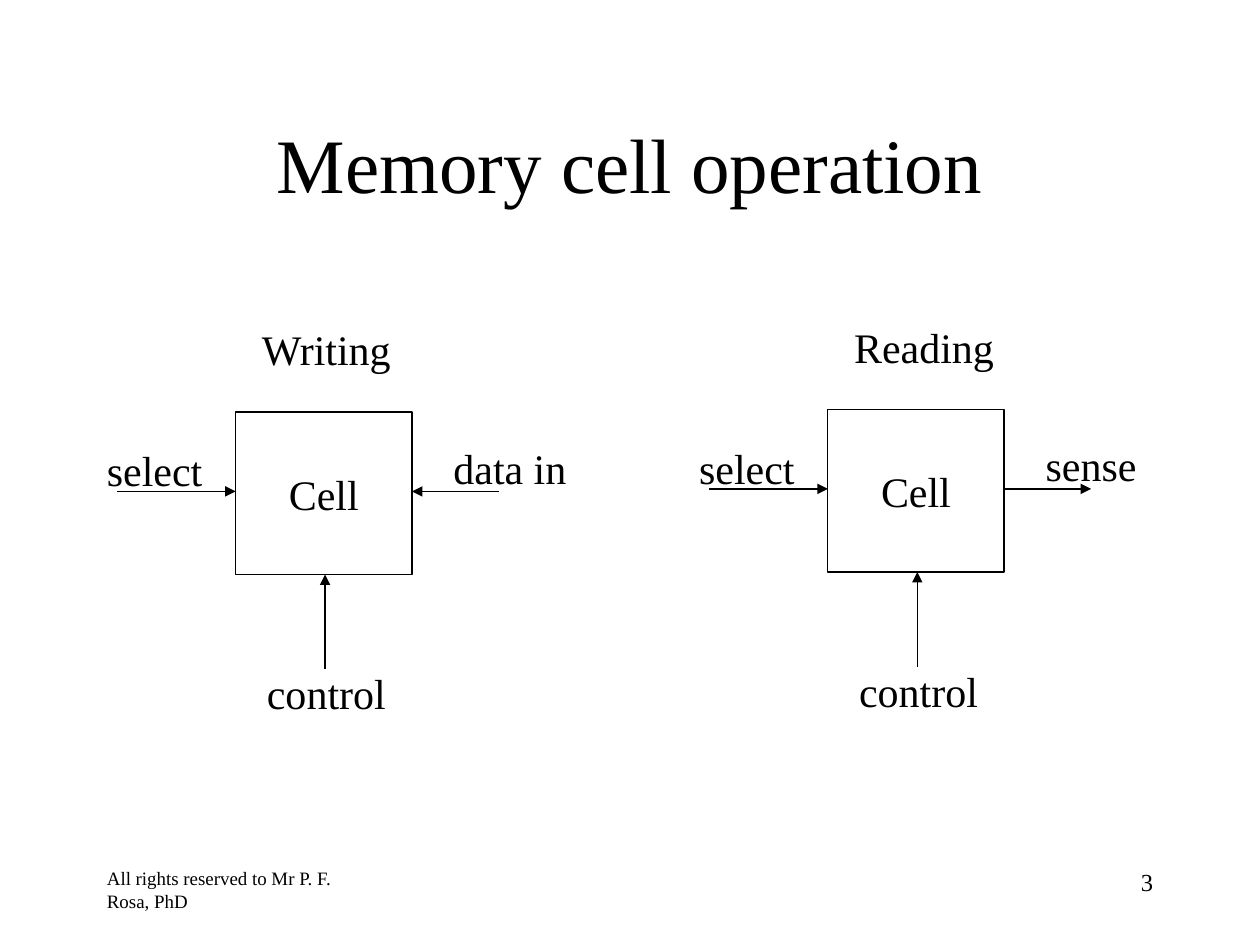
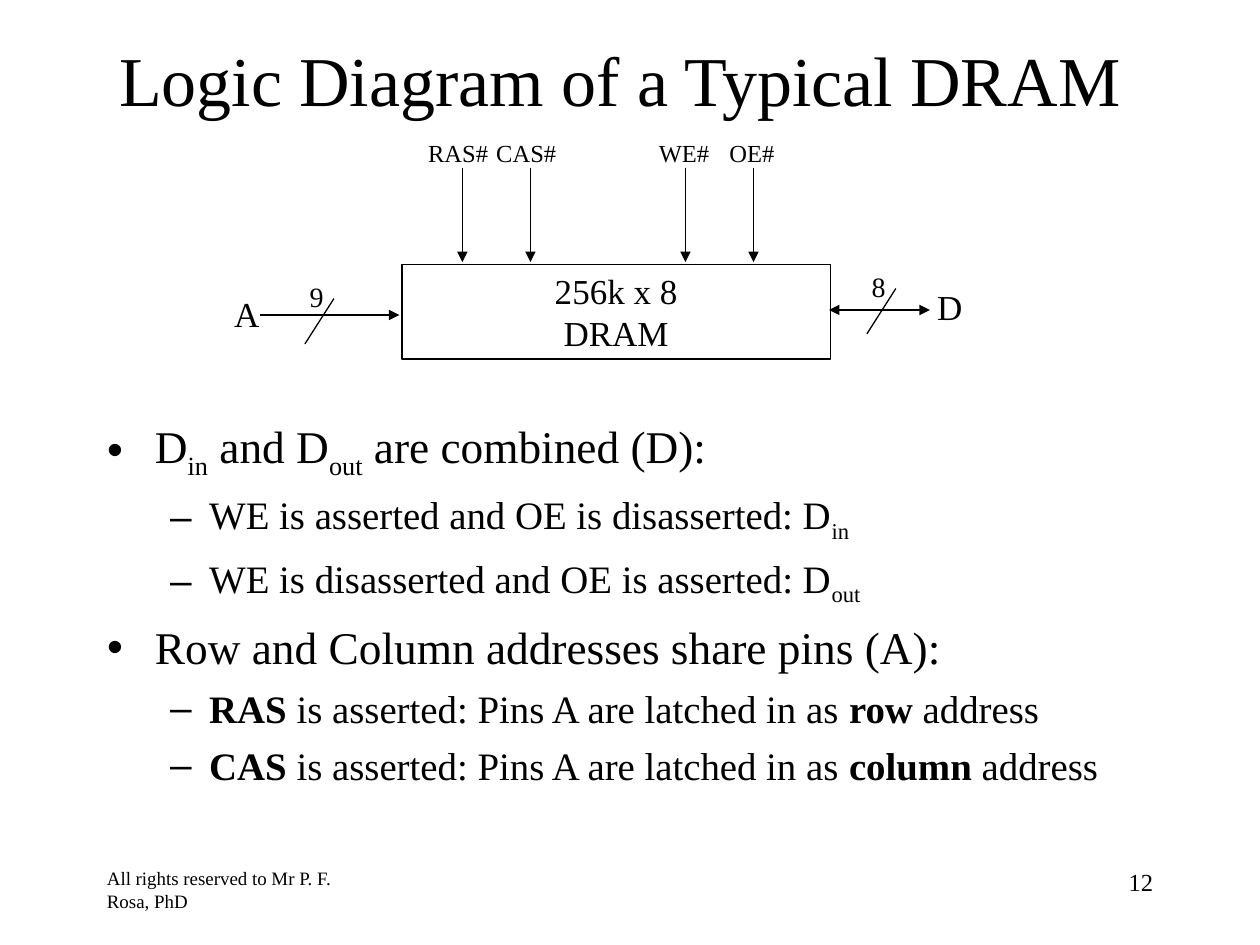
from lxml.etree import SubElement
from pptx import Presentation
from pptx.dml.color import RGBColor
from pptx.enum.shapes import MSO_CONNECTOR, MSO_SHAPE
from pptx.enum.text import MSO_ANCHOR, MSO_AUTO_SIZE, PP_ALIGN
from pptx.oxml.ns import qn
from pptx.util import Inches, Pt

COLORS = {"ink": "000000", "paper": "FFFFFF"}
INK = RGBColor.from_string(COLORS["ink"])
PAPER = RGBColor.from_string(COLORS["paper"])
FONT = "Times New Roman"
LINE_WIDTH = Pt(0.74)

deck = Presentation()
deck.slide_width, deck.slide_height = Inches(10), Inches(7.5)


def add_text(page, text, place, size, align=PP_ALIGN.LEFT, wrap=False, outlined=False):
    """Add a text box, or an outlined rectangle with middle-anchored text."""
    place = [Inches(length) for length in place]
    if outlined:
        box = page.shapes.add_shape(MSO_SHAPE.RECTANGLE, *place)
        box.shadow.inherit = False
        box.fill.background()
        box.line.color.rgb = INK
        box.line.width = LINE_WIDTH
    else:
        box = page.shapes.add_textbox(*place)
    frame = box.text_frame
    frame.text = text
    frame.word_wrap = wrap
    grows = not wrap and not outlined
    frame.auto_size = MSO_AUTO_SIZE.SHAPE_TO_FIT_TEXT if grows else MSO_AUTO_SIZE.NONE
    frame.vertical_anchor = MSO_ANCHOR.MIDDLE if outlined else MSO_ANCHOR.TOP
    for paragraph in frame.paragraphs:
        paragraph.alignment = align
        for span in paragraph.runs:
            span.font.name, span.font.size = FONT, Pt(size)
            span.font.color.rgb = INK


def add_line(page, x1, y1, x2, y2, ends=("tailEnd",)):
    """Add a straight line with triangle arrowheads at the named ends."""
    line = page.shapes.add_connector(
        MSO_CONNECTOR.STRAIGHT, Inches(x1), Inches(y1), Inches(x2), Inches(y2))
    line.line.color.rgb = INK
    line.line.width = LINE_WIDTH
    outline = line.line._get_or_add_ln()
    for end in ends:
        SubElement(outline, qn("a:" + end), type="triangle")
    SubElement(line._element.spPr, qn("a:effectLst"))


# Shared frame: background, title and footers
TITLE_ONLY, TITLE_AND_BODY = deck.slide_layouts[5], deck.slide_layouts[1]
pages = []
for layout, heading, size, left, top, number in [
    (TITLE_ONLY, "Memory cell operation", 44, 0.75, 0.67, "3"),
    (TITLE_AND_BODY, "Logic Diagram of a Typical DRAM", 40, 0.67, 0, "12"),
]:
    page = deck.slides.add_slide(layout)
    page.background.fill.solid()
    page.background.fill.fore_color.rgb = PAPER
    title = page.shapes.title
    title.left, title.top = Inches(left), Inches(top)
    title.width, title.height = Inches(8.5), Inches(1.25)
    title.text_frame.text = heading
    title.text_frame.auto_size = MSO_AUTO_SIZE.NONE
    title.text_frame.vertical_anchor = MSO_ANCHOR.MIDDLE
    paragraph = title.text_frame.paragraphs[0]
    paragraph.alignment = PP_ALIGN.CENTER
    font = paragraph.runs[0].font
    font.name, font.size, font.color.rgb = FONT, Pt(size), INK
    add_text(page, "All rights reserved to Mr P. F. Rosa, PhD",
             (0.75, 6.83, 2.08, 0.5), 10.8, wrap=True)
    add_text(page, number, (7.17, 6.83, 2.08, 0.5), 14, PP_ALIGN.RIGHT, wrap=True)
    pages.append(page)
cell_page, dram_page = pages

# Memory cell: the same diagram for writing and reading
for x, y, operation, operation_width, data, data_width, data_end in [
    (1.87, 3.27, "Writing", 1.24, "data in", 1.12, "tailEnd"),
    (6.57, 3.25, "Reading", 1.32, "sense", 0.94, "headEnd"),
]:
    add_text(cell_page, "Cell", (x, y, 1.4, 1.29), 24, PP_ALIGN.CENTER, outlined=True)
    add_line(cell_page, x + 0.71, y + 2.04, x + 0.71, y + 1.29)
    add_line(cell_page, x - 0.94, y + 0.63, x, y + 0.63)
    add_line(cell_page, x + 2.09, y + 0.63, x + 1.4, y + 0.63, [data_end])
    for label, dx, dy, width in [
        ("select", -1.12, 0.21, 0.98),
        ("control", 0.15, 1.98, 1.17),
        (data, 1.63, 0.19, data_width),
        (operation, 0.11, -0.75, operation_width),
    ]:
        add_text(cell_page, label, (x + dx, y + dy, width, 0.5), 24)

# DRAM block with its control, address and data pins
add_text(dram_page, "256k x 8\nDRAM", (3.19, 2.1, 3.4, 0.75), 20,
         PP_ALIGN.CENTER, outlined=True)
for pin, x, left, width in [
    ("RAS#", 3.67, 3.30, 0.70),
    ("CAS#", 4.21, 3.84, 0.70),
    ("WE#", 5.44, 5.13, 0.62),
    ("OE#", 5.98, 5.69, 0.58),
]:
    add_line(dram_page, x, 1.33, x, 2.08)
    add_text(dram_page, pin, (left, 1.05, width, 0.34), 14)

add_line(dram_page, 2.06, 2.5, 3.17, 2.5)
add_line(dram_page, 6.58, 2.46, 7.38, 2.46, ("headEnd", "tailEnd"))
for bus, bus_left, bus_top, bits, bits_left, bits_top in [
    ("A", 1.76, 2.27, "9", 2.36, 2.17),
    ("D", 7.34, 2.22, "8", 6.82, 2.09),
]:
    add_text(dram_page, bus, (bus_left, bus_top, 0.4, 0.44), 20)
    add_text(dram_page, bits, (bits_left, bits_top, 0.31, 0.37), 16)
    add_line(dram_page, bits_left + 0.29, bits_top + 0.2,
             bits_left + 0.06, bits_top + 0.56, ())

# Bullet list: each span is its text and its style
LEVELS = [  # size, space before, left margin, hanging indent, bullet
    (25.9, 7, 0.38, 0.38, "•"),
    (22.2, 6, 0.81, 0.31, "–"),
]
LATCHED = (" is asserted: Pins A are latched in as ", "")
BULLETS = [
    (0, [("D", ""), ("in", "sub"), (" and D", ""), ("out", "sub"),
         (" are combined (D):", "")]),
    (1, [("WE is asserted and OE is disasserted: D", ""), ("in", "sub")]),
    (1, [("WE is disasserted and OE is asserted: D", ""), ("out", "sub")]),
    (0, [("Row and Column addresses share pins (A):", "")]),
    (1, [("RAS", "bold"), LATCHED, ("row", "bold"), (" address", "")]),
    (1, [("CAS", "bold"), LATCHED, ("column", "bold"), (" address", "")]),
]
body = dram_page.placeholders[1]
body.left, body.top = Inches(0.75), Inches(3.27)
body.width, body.height = Inches(8.5), Inches(3.4)
frame = body.text_frame
frame.auto_size = MSO_AUTO_SIZE.NONE
for index, (level, spans) in enumerate(BULLETS):
    size, space, margin, hanging, bullet = LEVELS[level]
    paragraph = frame.add_paragraph() if index else frame.paragraphs[0]
    paragraph.level = level
    paragraph.space_before = Pt(space)
    properties = paragraph._p.get_or_add_pPr()
    properties.set("marL", str(Inches(margin)))
    properties.set("indent", str(-Inches(hanging)))
    bullet_color = SubElement(properties, qn("a:buClr"))
    SubElement(bullet_color, qn("a:srgbClr"), val=COLORS["ink"])
    SubElement(properties, qn("a:buChar"), char=bullet)
    for text, style in spans:
        span = paragraph.add_run()
        span.text = text
        span.font.name, span.font.size = FONT, Pt(size)
        span.font.color.rgb = INK
        span.font.bold = style == "bold"
        if style == "sub":
            span._r.get_or_add_rPr().set("baseline", "-25000")

deck.save("out.pptx")
